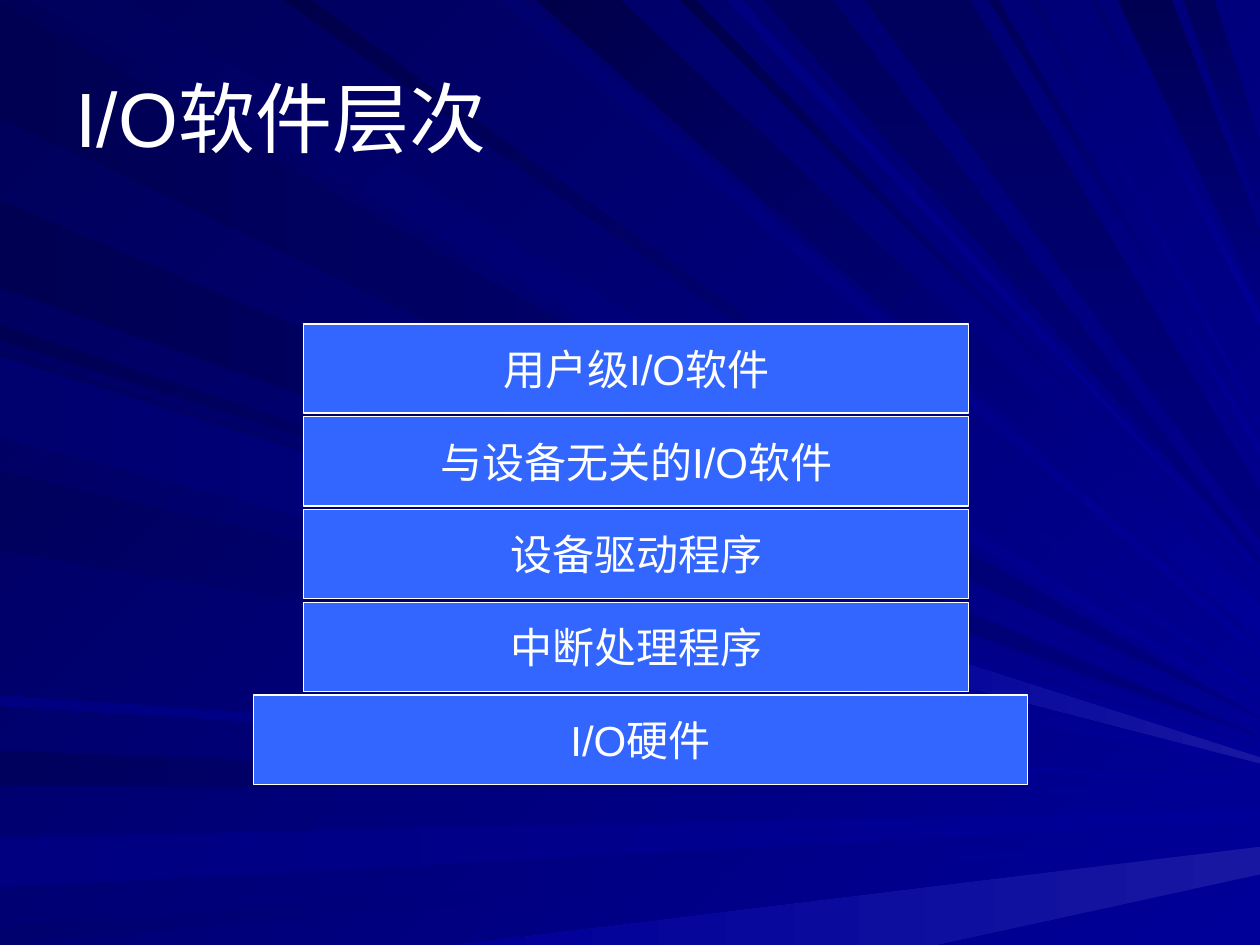
from pptx import Presentation
from pptx import util as u
from pptx.dml.color import RGBColor
from pptx.enum import shapes, text

TITLE = "I/O软件层次"
LAYERS = ["用户级I/O软件", "与设备无关的I/O软件", "设备驱动程序", "中断处理程序", "I/O硬件"]
LAYER_TOP, LAYER_STEP, LAYER_HEIGHT = 6.53, 1.87, 1.8
LAYER_LEFT, LAYER_WIDTH = 6.12, 13.41
BASE_LEFT, BASE_WIDTH = 5.11, 15.6

COLOURS = {
    "white": "FFFFFF", "box": "3366FF", "blue": "000099", "navy": "000080",
    "black": "00004A", "deep": "000053", "dark": "00005D", "dusk": "00006F",
    "back": "000058", "glow": "1717A2",
}
ANGLES = {"level": 180, "slant": 225, "fall": 90}  # clockwise

# Rays run from a stretch of one edge to the right edge. Hundredths of an inch:
# edge, stretch from, to, upper tip, tip height, start colour, end colour, direction
RAYS = [
    ("left", 2, 93, 569, 1, "navy", "deep", "level"),
    ("top", 26, 101, 562, 1, "blue", "dark", "slant"),
    ("left", 596, 623, 631, 1, "blue", "dark", "level"),
    ("left", 665, 704, 643, 8, "blue", "navy", "level"),
    ("left", 735, 750, 662, 1, "blue", "dusk", "level"),
    ("bottom", 364, 742, 672, 22, "glow", "blue", "level"),
    ("left", 258, 270, 589, 1, "blue", "deep", "slant"),
    ("left", 159, 228, 584, 1, "navy", "deep", "level"),
    ("top", 398, 416, 515, 6, "blue", "dusk", "slant"),
    ("top", 426, 492, 479, 28, "blue", "black", "slant"),
    ("top", 540, 552, 463, 1, "blue", "black", "slant"),
    ("top", 606, 661, 445, 1, "dark", "navy", "fall"),
    ("top", 887, 930, 183, 54, "deep", "navy", "fall"),
    ("top", 939, 964, 114, 53, "dark", "navy", "fall"),
    ("left", 278, 342, 596, 6, "blue", "dark", "slant"),
    ("left", 374, 437, 605, 1, "blue", "dark", "slant"),
    ("left", 552, 560, 621, 2, "blue", "navy", "level"),
    ("top", 225, 247, 547, 5, "blue", "black", "slant"),
    ("top", 577, 588, 453, 1, "blue", "navy", "slant"),
    ("top", 686, 770, 390, 38, "dark", "navy", "fall"),
    ("top", 785, 792, 354, 6, "blue", "back", "slant"),
    ("top", 815, 824, 335, 1, "blue", "dusk", "slant"),
    ("top", 865, 872, 249, 9, "blue", "dusk", "slant"),
    ("left", 283, 347, 601, 5, "blue", "dusk", "level"),
]
RIGHT, BOTTOM = 1000, 750
GLOW_FROM = 0.635  # the last ray brightens beyond this share of its length


def colour(name):
    return RGBColor.from_string(COLOURS[name])


def paint(fill, start, end, direction):
    fill.gradient()
    fill.gradient_angle = 360 - ANGLES[direction]  # runs anticlockwise
    for stop, name in zip(fill.gradient_stops, (start, end)):
        stop.color.rgb = colour(name)


def write(shape, content, size, align, wrap):
    frame = shape.text_frame
    frame.text = content
    frame.word_wrap = wrap
    frame.auto_size = text.MSO_AUTO_SIZE.NONE
    frame.vertical_anchor = text.MSO_ANCHOR.MIDDLE
    paragraph = frame.paragraphs[0]
    paragraph.alignment = align
    font = paragraph.runs[0].font
    font.name = "Arial"
    font.size = u.Pt(size)
    font.color.rgb = colour("white")


def add_ray(group, corners, *ray_fill):
    builder = group.shapes.build_freeform(*corners[0], scale=u.Cm(0.0254))
    builder.add_line_segments(corners[1:], close=True)
    ray = builder.convert_to_shape()
    ray.shadow.inherit = False
    ray.line.fill.background()
    paint(ray.fill, *ray_fill)


def ray_corners(edge, first, last, tip, height):
    """Upper and lower points on the edge, then lower and upper tips."""
    upper, lower = {
        "left": ((0, first), (0, last)),
        "top": ((last, 0), (first, 0)),
        "bottom": ((first, BOTTOM), (last, BOTTOM)),
    }[edge]
    return [upper, lower, (RIGHT, tip + height), (RIGHT, tip)]


def between(start, end, share):
    return tuple(a + (b - a) * share for a, b in zip(start, end))


def add_rays(slide):
    group = slide.shapes.add_group_shape()
    for *place, start, end, direction in RAYS:
        corners = ray_corners(*place)
        add_ray(group, corners, start, end, direction)
    # Bright end of the last ray
    upper, lower, lower_tip, upper_tip = corners
    add_ray(group, [between(upper, upper_tip, GLOW_FROM),
                    between(lower, lower_tip, GLOW_FROM),
                    lower_tip, upper_tip], "glow", "blue", "level")
    slide.shapes.element.insert(2, group.element)  # behind the title


def add_layers(slide):
    for row, label in enumerate(LAYERS):
        is_base = row == len(LAYERS) - 1
        left, width = (BASE_LEFT, BASE_WIDTH) if is_base else (LAYER_LEFT, LAYER_WIDTH)
        box = slide.shapes.add_shape(
            shapes.MSO_SHAPE.RECTANGLE, u.Cm(left),
            u.Cm(LAYER_TOP + row * LAYER_STEP), u.Cm(width), u.Cm(LAYER_HEIGHT))
        box.shadow.inherit = False
        box.fill.solid()
        box.fill.fore_color.rgb = colour("box")
        box.line.color.rgb = colour("white")
        box.line.width = u.Pt(0.75)
        write(box, label, size=24, align=text.PP_ALIGN.CENTER, wrap=False)


def main():
    presentation = Presentation()
    presentation.slide_width, presentation.slide_height = u.Cm(25.4), u.Cm(19.05)
    slide = presentation.slides.add_slide(presentation.slide_layouts[5])

    # Background
    paint(slide.background.fill, "blue", "back", "slant")
    add_rays(slide)

    # Title
    title = slide.shapes.title
    title.left, title.top = u.Cm(1.27), u.Cm(0.76)
    title.width, title.height = u.Cm(22.86), u.Cm(3.18)
    write(title, TITLE, size=44, align=text.PP_ALIGN.LEFT, wrap=True)

    # Stack of software layers on the hardware
    add_layers(slide)
    presentation.save("out.pptx")


if __name__ == "__main__":
    main()
